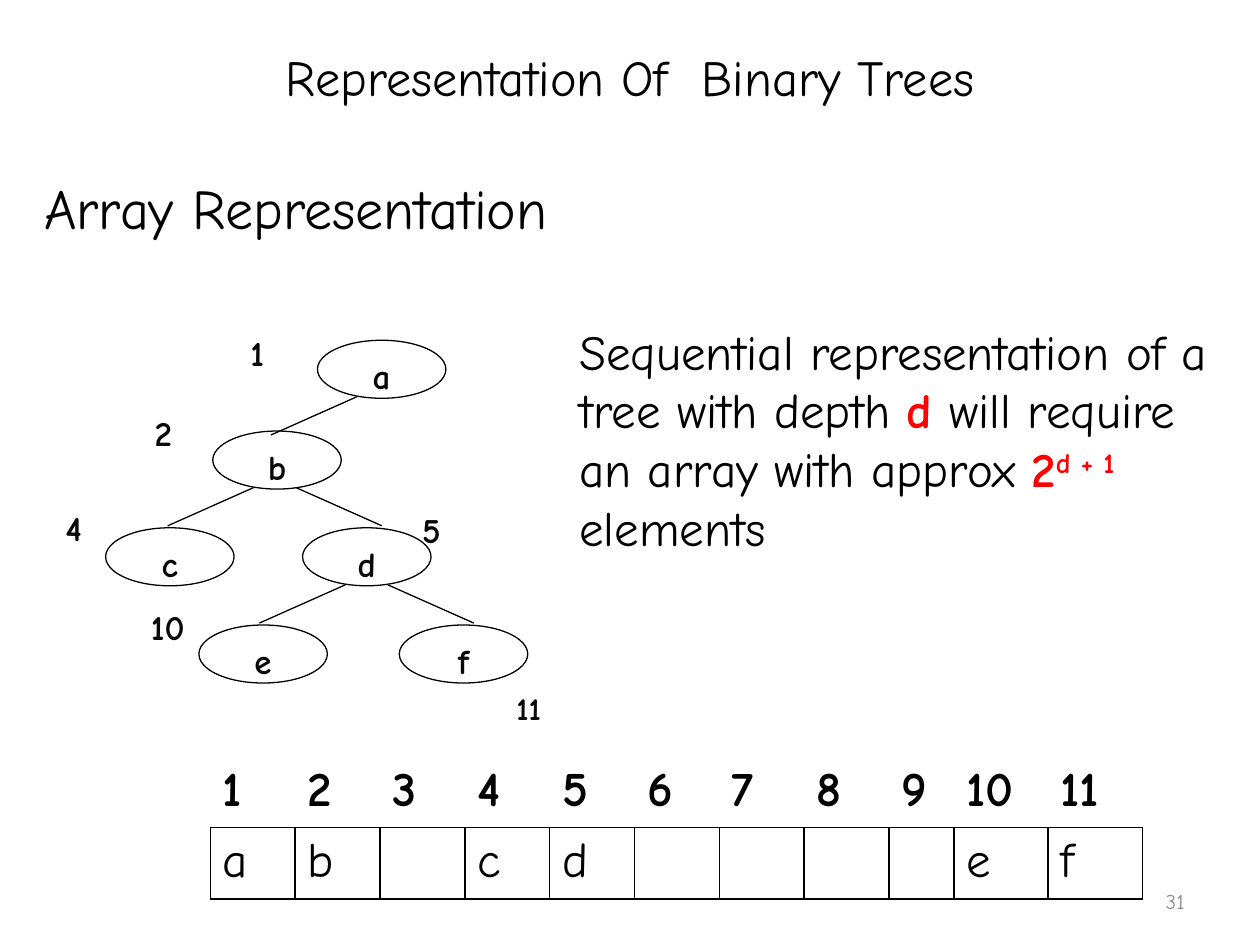
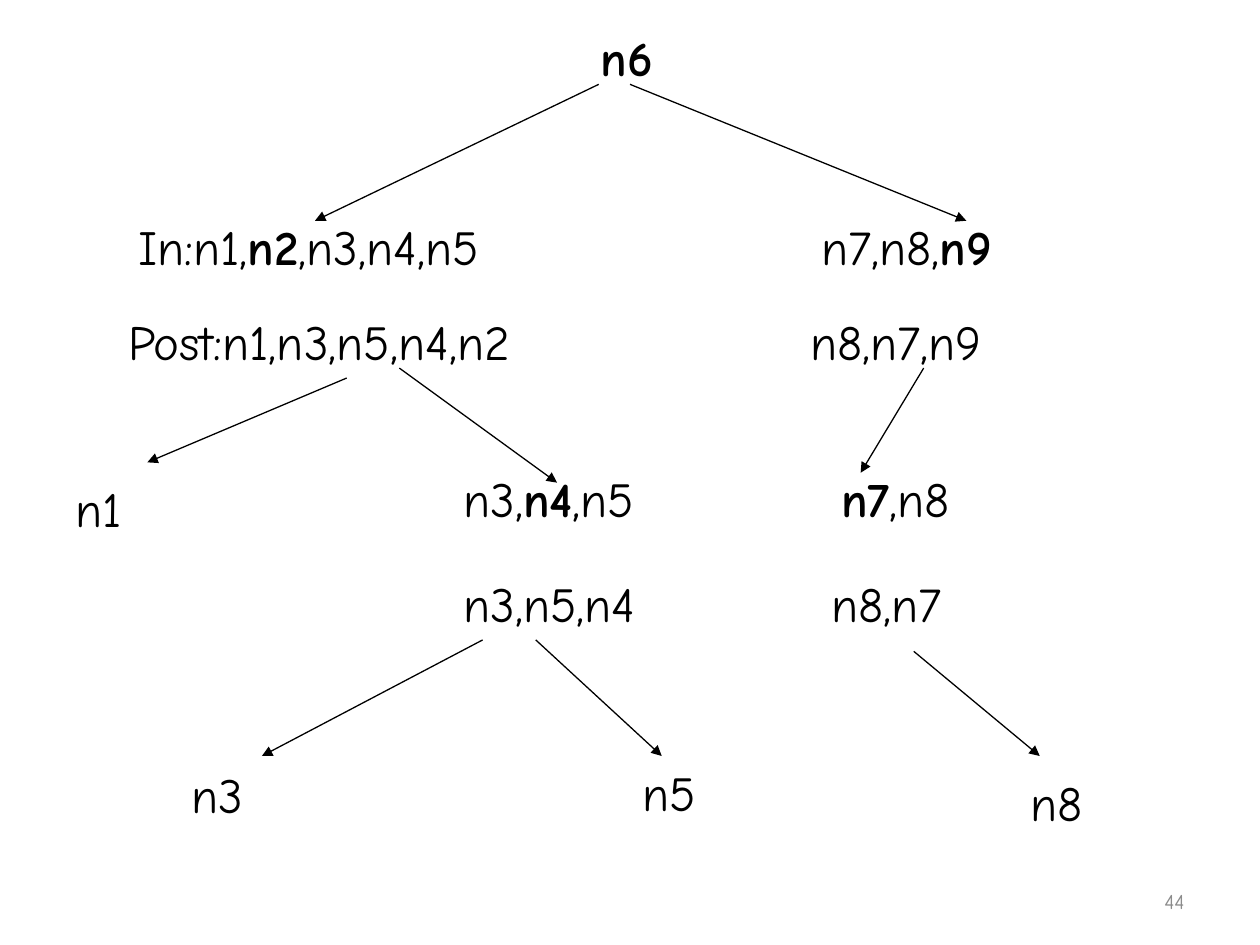
from lxml import etree
from pptx import Presentation
from pptx.dml.color import RGBColor
from pptx.enum.shapes import MSO_CONNECTOR as CONN, MSO_SHAPE as SHAPE
from pptx.enum.text import MSO_ANCHOR as ANCHOR, PP_ALIGN as ALIGN
from pptx.oxml.ns import qn
from pptx.util import Cm, Pt

FONT = "Comic Neue"
COLORS = {"text": "000000", "node": "080808", "accent": "FF0000", "number": "8C8C8C"}

TITLE = "Representation Of  Binary Trees"
HEADING = "Array Representation"
SEQUENTIAL = [
    ("Sequential representation of a tree with depth ", False, None),
    ("d ", True, None),
    ("will require an array with approx ", False, None),
    ("2", True, None),
    ("d + 1 ", True, "30000"),
    ("elements", False, None),
]

NODE_W, NODE_H = 2.59, 1.17
NODES = [
    ("a", 6.4, 6.86), ("b", 4.29, 8.69), ("c", 2.13, 10.64),
    ("d", 6.1, 10.64), ("e", 4.01, 12.6), ("f", 8.05, 12.6),
]
INDEXES = [
    ("1", 4.8, 6.55), ("2", 2.87, 8.18), ("4", 1.07, 10.08),
    ("5", 8.26, 10.13), ("10", 2.79, 12.09),
]
BRANCH_DX, BRANCH_DY = 1.73, 0.77
LEFT, RIGHT = -1, 1
BRANCHES = [
    (7.19, 8.0, LEFT), (5.11, 9.83, LEFT), (5.97, 9.83, RIGHT),
    (6.96, 11.79, LEFT), (7.82, 11.79, RIGHT),
]

ARRAY = {1: "a", 2: "b", 4: "c", 5: "d", 10: "e", 11: "f"}
ARRAY_WIDTHS = [1.71] * 8 + [1.31] + [1.9] * 2
ROW_H = 1.44

TRAVERSALS = [
    ("*n6*", 11.86, 0.43, 2.11),
    ("In:n1,*n2*,n3,n4,n5", 2.54, 4.24, 10.59),
    ("n7,n8,*n9*", 16.31, 4.24, 5.08),
    ("Post:n1,n3,n5,n4,n2", 2.34, 6.15, 10.59),
    ("n8,n7,n9", 16.08, 6.15, 5.08),
    ("n1", 1.27, 9.53, 1.7),
    ("n3,*n4*,n5", 9.09, 9.32, 4.45),
    ("n3,n5,n4", 9.09, 11.43, 4.45),
    ("*n7*,n8", 16.71, 9.32, 3.61),
    ("n8,n7", 16.51, 11.43, 3.61),
    ("n3", 3.61, 15.29, 1.7),
    ("n5", 12.7, 15.24, 1.7),
    ("n8", 20.52, 15.44, 1.7),
]
ARROWS = [
    (12.07, 1.7, 6.35, 4.45), (12.7, 1.7, 19.48, 4.45),
    (6.99, 7.62, 2.97, 9.32), (8.05, 7.42, 11.23, 9.73),
    (9.73, 12.9, 5.28, 15.24), (10.8, 12.9, 13.34, 15.24),
    (18.62, 7.42, 17.35, 9.53), (18.42, 13.13, 20.96, 15.24),
]


def rgb(name):
    return RGBColor.from_string(COLORS[name])


def style(p, size, color="text", bold=False, align=ALIGN.LEFT):
    p.alignment = align
    p.font.name, p.font.size, p.font.bold = FONT, Pt(size), bold
    p.font.color.rgb = rgb(color)


def add_text(s, box, text, size, anchor=ANCHOR.TOP, **look):
    tf = s.shapes.add_textbox(*map(Cm, box)).text_frame
    tf.word_wrap = True
    tf.vertical_anchor = anchor
    p = tf.paragraphs[0]
    style(p, size, **look)
    for i, part in enumerate(text.split("*")):
        if part:
            r = p.add_run()
            r.text = part
            if i % 2:
                r.font.bold = True
    return p


def add_line(s, x1, y1, x2, y2, arrow=False):
    line = s.shapes.add_connector(CONN.STRAIGHT, Cm(x1), Cm(y1), Cm(x2), Cm(y2))
    line.line.color.rgb = rgb("text")
    line.line.width = Pt(0.75)
    if arrow:
        etree.SubElement(line.line._get_or_add_ln(), qn("a:tailEnd"), type="triangle")
    etree.SubElement(line._element.spPr, qn("a:effectLst"))


def add_node(s, label, x, y):
    sp = s.shapes.add_shape(SHAPE.OVAL, Cm(x), Cm(y), Cm(NODE_W), Cm(NODE_H))
    sp.shadow.inherit = False
    sp.fill.background()
    sp.line.color.rgb = rgb("text")
    sp.line.width = Pt(0.75)
    tf = sp.text_frame
    tf.vertical_anchor = ANCHOR.TOP
    tf.text = label
    style(tf.paragraphs[0], 20, "node", True, ALIGN.CENTER)


def add_borders(cell, sides):
    tc_pr = cell._tc.get_or_add_tcPr()
    for side in sides:
        ln = etree.SubElement(tc_pr, qn(f"a:ln{side}"), w=str(Pt(1)))
        fill = etree.SubElement(ln, qn("a:solidFill"))
        etree.SubElement(fill, qn("a:srgbClr"), val=COLORS["text"])


def add_array(s):
    n = len(ARRAY_WIDTHS)
    table = s.shapes.add_table(2, n, Cm(4.24), Cm(15.24),
                               Cm(sum(ARRAY_WIDTHS)), Cm(2 * ROW_H)).table
    table.first_row = table.horz_banding = False
    for row in table.rows:
        row.height = Cm(ROW_H)
    for i, width in enumerate(ARRAY_WIDTHS):
        table.columns[i].width = Cm(width)
        texts = (str(i + 1), ARRAY.get(i + 1, ""))
        for row, (text, sides) in enumerate(zip(texts, ("B", "LRTB"))):
            cell = table.cell(row, i)
            add_borders(cell, sides)
            cell.fill.background()
            cell.text = text
            style(cell.text_frame.paragraphs[0], 28, bold=row == 0)


def add_slide(prs, number):
    s = prs.slides.add_slide(prs.slide_layouts[6])
    add_text(s, (18.21, 17.65, 5.92, 1.02), str(number), 12, ANCHOR.MIDDLE,
             color="number", align=ALIGN.RIGHT)
    return s


def build_array_slide(prs):
    s = add_slide(prs, 31)
    add_text(s, (1.27, 0.76, 22.86, 1.57), TITLE, 28.8, ANCHOR.MIDDLE, align=ALIGN.CENTER)
    add_text(s, (0.64, 3.38, 22.86, 1.9), HEADING, 32)
    for label, x, y in INDEXES:
        add_text(s, (x, y, 3.18, 0.79), label, 20, color="node", bold=True)
    add_text(s, (10.16, 13.77, 1.9, 1.02), "11", 18, color="node", bold=True)
    for node in NODES:
        add_node(s, *node)
    for x, y, side in BRANCHES:
        add_line(s, x, y, x + side * BRANCH_DX, y + BRANCH_DY)
    add_array(s)
    p = add_text(s, (11.43, 6.35, 13.54, 5.05), "", 28)
    for text, accent, baseline in SEQUENTIAL:
        r = p.add_run()
        r.text = text
        if accent:
            r.font.bold = True
            r.font.color.rgb = rgb("accent")
        if baseline:
            r.font._element.set("baseline", baseline)


def build_traversal_slide(prs):
    s = add_slide(prs, 44)
    for text, x, y, width in TRAVERSALS:
        add_text(s, (x, y, width, 1.45), text, 28)
    for ends in ARROWS:
        add_line(s, *ends, arrow=True)


def main():
    prs = Presentation()
    prs.slide_width, prs.slide_height = Cm(25.4), Cm(19.05)
    build_array_slide(prs)
    build_traversal_slide(prs)
    prs.save("out.pptx")


if __name__ == "__main__":
    main()
